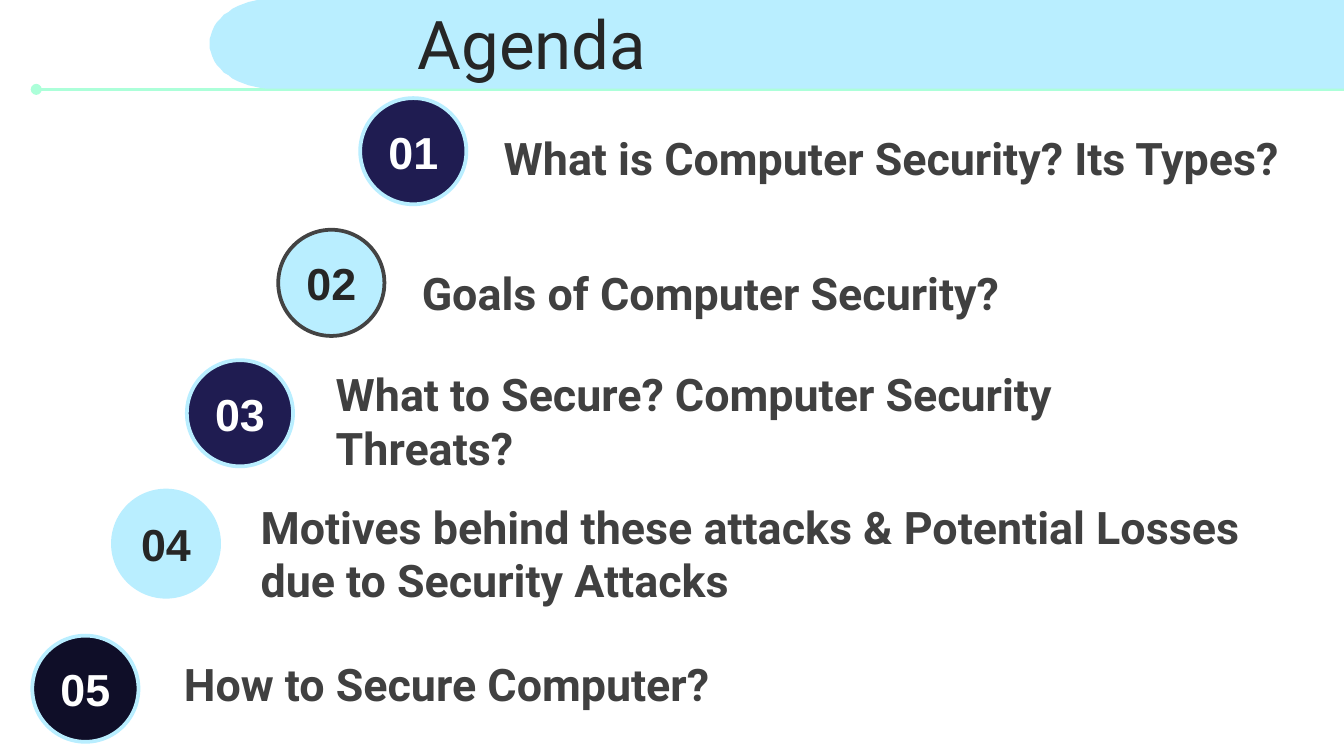
import math
from dataclasses import dataclass

from lxml import etree
from pptx import Presentation
from pptx.dml.color import RGBColor
from pptx.enum import shapes, text
from pptx.oxml.ns import qn
from pptx.util import Emu, Pt

PX = 4572  # EMU per px, 200 px to the inch

WHITE = RGBColor(0xFF, 0xFF, 0xFF)
SKY = RGBColor(0xB9, 0xEE, 0xFF)
MINT = RGBColor(0xAC, 0xFF, 0xD9)
NAVY = RGBColor(0x1F, 0x1C, 0x51)
MIDNIGHT = RGBColor(0x0F, 0x0E, 0x28)
SLATE = RGBColor(0x43, 0x43, 0x43)
GRAY = RGBColor(0x40, 0x40, 0x40)
INK = RGBColor(0x26, 0x26, 0x26)

CIRCLE = 158
NUMBER_DROP = 29
LINE_HEIGHT = 100


@dataclass(frozen=True)
class Box:
    left: int
    top: int
    width: int
    height: int

    def emu(self) -> list[Emu]:
        return [Emu(v * PX) for v in (self.left, self.top, self.width, self.height)]


@dataclass(frozen=True)
class AgendaItem:
    left: int
    top: int
    fill: RGBColor
    outline: RGBColor
    number_color: RGBColor
    title: str
    title_box: Box


ITEMS = [
    AgendaItem(536, 146, NAVY, SKY, WHITE, "What is Computer Security? Its Types?",
               Box(730, 184, 1214, LINE_HEIGHT)),
    AgendaItem(414, 342, SKY, SLATE, INK, "Goals of Computer Security?",
               Box(608, 386, 1008, LINE_HEIGHT)),
    AgendaItem(278, 536, NAVY, SKY, WHITE, "What to Secure? Computer Security Threats?",
               Box(480, 576, 1368, LINE_HEIGHT)),
    AgendaItem(168, 730, SKY, SKY, INK,
               "Motives behind these attacks & Potential Losses due to Security Attacks",
               Box(368, 732, 1578, 182)),
    AgendaItem(48, 946, MIDNIGHT, SKY, WHITE, "How to Secure Computer?",
               Box(254, 968, 1008, LINE_HEIGHT)),
]


def add_text(slide, box: Box, words: str, font: str, size: int, color: RGBColor,
             bold: bool = False, align=text.PP_ALIGN.LEFT) -> None:
    frame = slide.shapes.add_textbox(*box.emu()).text_frame
    frame.word_wrap = True
    frame.vertical_anchor = text.MSO_ANCHOR.MIDDLE
    paragraph = frame.paragraphs[0]
    paragraph.text = words
    paragraph.alignment = align
    paragraph.font.name = font
    paragraph.font.size = Pt(size)
    paragraph.font.bold = bold
    paragraph.font.color.rgb = color


def add_rule(slide, left: int, right: int, y: int) -> None:
    line = slide.shapes.add_connector(
        shapes.MSO_CONNECTOR.STRAIGHT, *(Emu(v * PX) for v in (left, y, right, y)))
    line.line.color.rgb = MINT
    line.line.width = Pt(1.5)
    etree.SubElement(line.line._get_or_add_ln(), qn("a:headEnd"), type="oval")
    etree.SubElement(line._element.spPr, qn("a:effectLst"))


def add_banner(slide, box: Box, cap: int, steps: int = 32) -> None:
    """Bar with a half-ellipse cap on its left end."""
    right, bottom = box.left + box.width, box.top + box.height
    radius = box.height / 2
    angles = [math.pi * (0.5 + step / steps) for step in range(steps + 1)]
    arc = [(box.left + cap + cap * math.cos(a), box.top + radius + radius * math.sin(a))
           for a in angles]
    builder = slide.shapes.build_freeform(right, box.top, scale=PX)
    builder.add_line_segments([(right, bottom), *arc], close=True)
    shape = builder.convert_to_shape()
    shape.shadow.inherit = False
    shape.fill.solid()
    shape.fill.fore_color.rgb = SKY
    shape.line.fill.background()


def add_item(slide, number: int, item: AgendaItem) -> None:
    circle = Box(item.left, item.top, CIRCLE, CIRCLE)
    shape = slide.shapes.add_shape(shapes.MSO_SHAPE.OVAL, *circle.emu())
    shape.shadow.inherit = False
    shape.fill.solid()
    shape.fill.fore_color.rgb = item.fill
    shape.line.color.rgb = item.outline
    shape.line.width = Pt(2)
    number_box = Box(item.left, item.top + NUMBER_DROP, CIRCLE, LINE_HEIGHT)
    add_text(slide, number_box, f"{number:02}", "Arial", 24, item.number_color,
             bold=True, align=text.PP_ALIGN.CENTER)
    add_text(slide, item.title_box, item.title, "Roboto", 24, GRAY, bold=True)


def main() -> None:
    presentation = Presentation()
    presentation.slide_width = Emu(2000 * PX)
    presentation.slide_height = Emu(1125 * PX)
    slide = presentation.slides.add_slide(presentation.slide_layouts[6])

    # Heading
    add_rule(slide, 54, 2020, 133)
    add_banner(slide, Box(312, -2, 1696, 134), cap=94)
    add_text(slide, Box(602, 0, 1388, 126), "Agenda", "Roboto", 36, INK)

    # Agenda
    for number, item in enumerate(ITEMS, start=1):
        add_item(slide, number, item)

    presentation.save("out.pptx")


if __name__ == "__main__":
    main()
